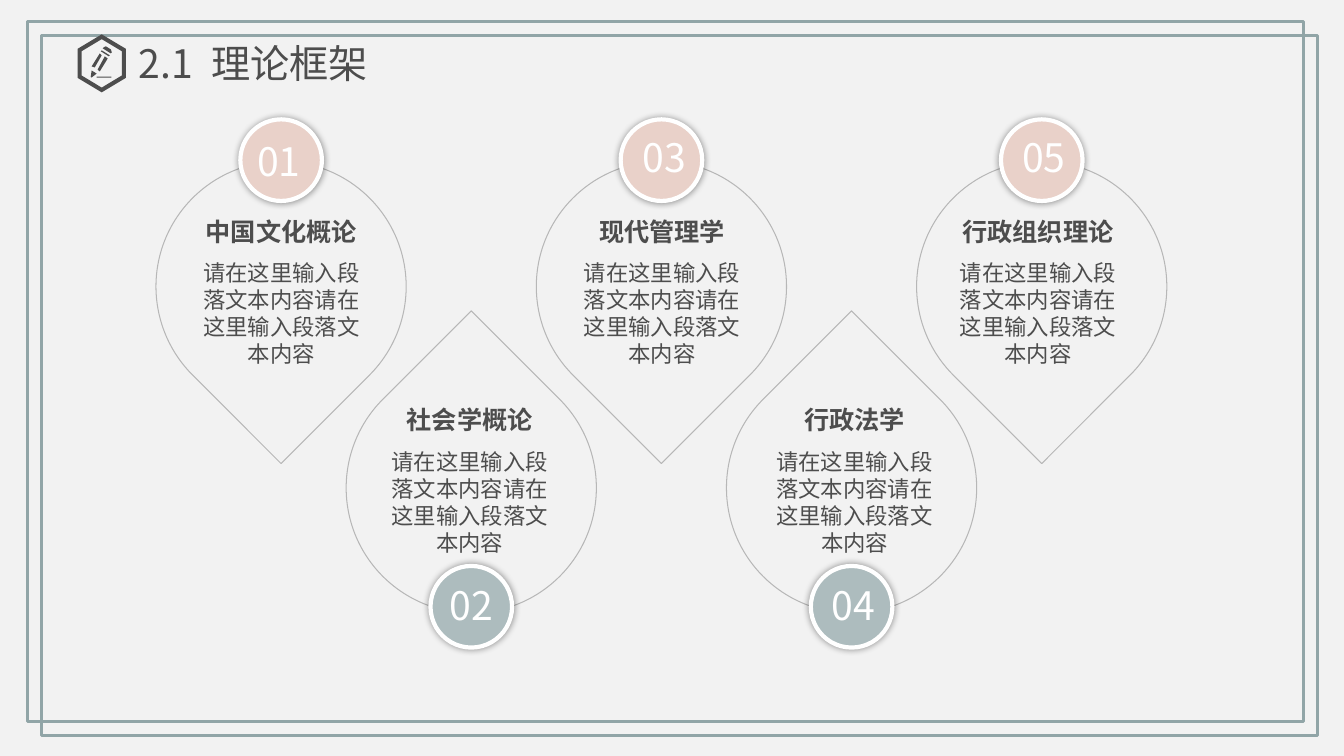
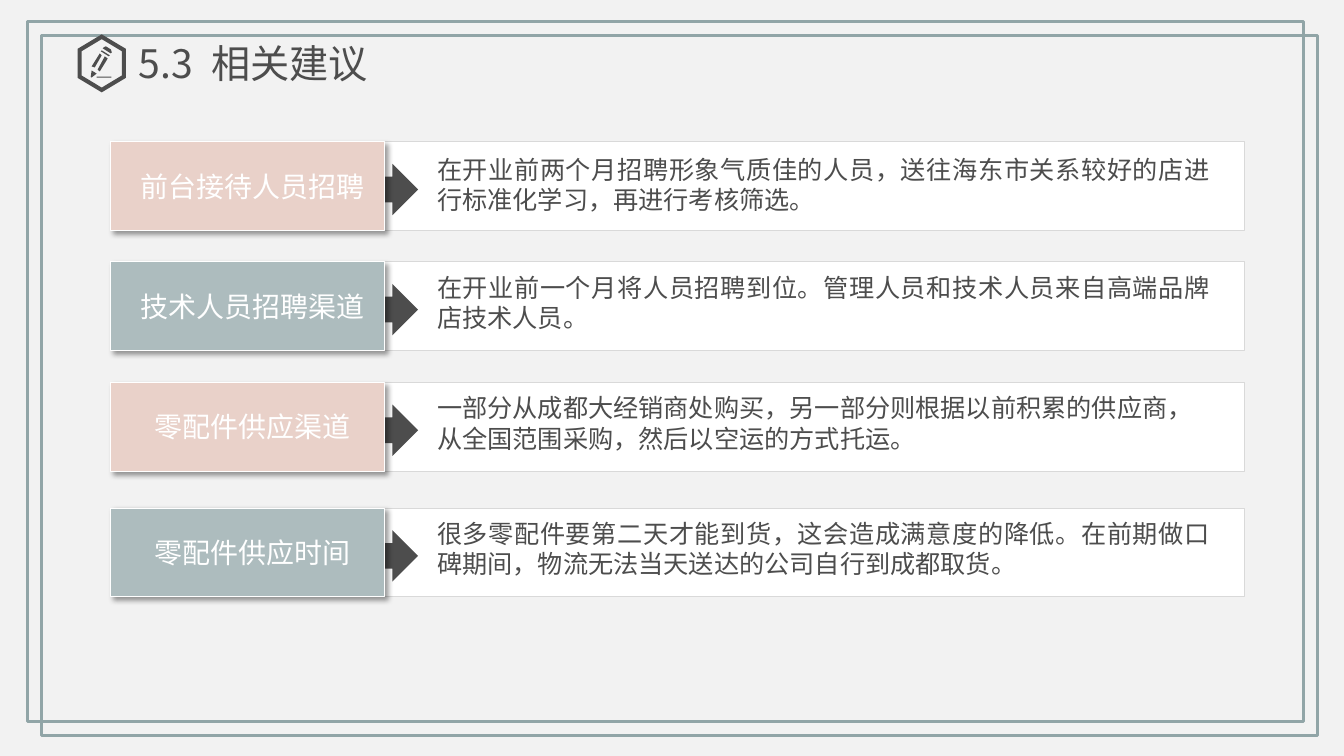
"""Build two slides: a theory framework of five drops and a list of four recommendations."""
import math

from lxml import etree
from pptx import Presentation
from pptx.dml.color import RGBColor
from pptx.enum import shapes, text
from pptx.oxml import ns
from pptx.util import Pt

FONT = "Noto Sans CJK SC"
DARK, WHITE, PAPER = "4D4D4D", "FFFFFF", "F2F2F2"
PINK, TEAL, FRAME = "E9D1C9", "ADBCBE", "91A5A7"
LEFT, CENTER, JUSTIFY = text.PP_ALIGN.LEFT, text.PP_ALIGN.CENTER, text.PP_ALIGN.JUSTIFY
color = RGBColor.from_string


def paint(shape, fill=None, line=None, width=0.75, shadow=None):
    """Set fill, outline and an optional (blur, distance, degrees) shadow."""
    if fill:
        shape.fill.solid()
        shape.fill.fore_color.rgb = color(fill)
    else:
        shape.fill.background()
    if line:
        shape.line.color.rgb = color(line)
        shape.line.width = Pt(width)
    else:
        shape.line.fill.background()
    shape.shadow.inherit = False
    if shadow:
        blur, distance, degrees = shadow
        effects = shape.element.spPr.find(ns.qn("a:effectLst"))
        outer = etree.SubElement(effects, ns.qn("a:outerShdw"), blurRad=str(Pt(blur)),
                                 dist=str(Pt(distance)), dir=str(degrees * 60000),
                                 algn="ctr", rotWithShape="0")
        black = etree.SubElement(outer, ns.qn("a:srgbClr"), val="000000")
        etree.SubElement(black, ns.qn("a:alpha"), val="40000")


def write(shape, content, size, ink=DARK, align=LEFT, bold=False, inset=3.6, wrap=True):
    """Fill a shape with one formatted paragraph."""
    frame = shape.text_frame
    frame.word_wrap = wrap
    frame.auto_size = text.MSO_AUTO_SIZE.NONE
    frame.vertical_anchor = text.MSO_ANCHOR.TOP
    frame.margin_left = frame.margin_right = Pt(inset * 2)
    frame.margin_top = frame.margin_bottom = Pt(inset)
    paragraph = frame.paragraphs[0]
    paragraph.alignment = align
    paragraph.line_spacing = Pt(size * 1.21)
    run = paragraph.add_run()
    run.text = content
    run.font.size = Pt(size)
    run.font.bold = bold
    run.font.name = FONT
    run.font.color.rgb = color(ink)
    for latin in list(shape.element.iter(ns.qn("a:latin"))):
        east_asian = etree.Element(ns.qn("a:ea"), typeface=FONT)
        latin.addnext(east_asian)


presentation = Presentation()
presentation.slide_width, presentation.slide_height = Pt(960.48), Pt(540)
master = presentation.slide_master
master.background.fill.solid()
master.background.fill.fore_color.rgb = color(PAPER)
title_defaults = master.element.find(".//" + ns.qn("p:titleStyle")).find(
    ".//" + ns.qn("a:defRPr"))
tabs = etree.Element(ns.qn("a:tabLst"))
etree.SubElement(tabs, ns.qn("a:tab"), pos=str(Pt(52.2)), algn="l")
title_defaults.addprevious(tabs)

layout = presentation.slide_layouts[5]
layout_title = layout.placeholders[0]
layout_title.left, layout_title.top = Pt(99), Pt(28)
layout_title.width, layout_title.height = Pt(287.3), Pt(33.8)

theory, advice = [presentation.slides.add_slide(layout) for _ in range(2)]

for number, (left, top) in enumerate(((19.6, 15.1), (29.6, 25.2)), 20):
    border = theory.shapes.add_shape(shapes.MSO_SHAPE.RECTANGLE, Pt(left), Pt(top),
                                     Pt(912.2), Pt(500.4))
    paint(border, line=FRAME, width=2)
    border.element.nvSpPr.cNvPr.set("id", str(number))
    layout.shapes.element.append(border.element)

icon_contours = [
    [(72.7 + x * half_width, 45.3 + y * half_height)
     for x, y in ((0, -1), (1, -0.5), (1, 0.5), (0, 1), (-1, 0.5), (-1, -0.5))]
    for half_width, half_height in ((17.3, 20.7), (14.4, 17.3))
] + [
    [(69.1, 54.7), (79.6, 54.7), (79.6, 55.4), (69.1, 55.4)],
    [(69.8, 49.7), (74.9, 40.3), (77, 41.8), (71.3, 51.1)],
    [(65.5, 47.5), (71.3, 38.2), (72.7, 39.6), (67.7, 48.2)],
    [(64.8, 55.1), (65.5, 50.4), (69.1, 52.6), (65.5, 55.4)],
    [(72.7, 36), (72, 36.7), (77.8, 40.3), (78.5, 39.6)],
    [(74.2, 33.8), (75.6, 33.1), (79.2, 35.3), (79.9, 37.4), (79.2, 38.2), (73.4, 34.6)],
]
for slide, heading in ((theory, "2.1\t理论框架"), (advice, "5.3\t相关建议")):
    write(slide.shapes.title, heading, 28, inset=0)
    builder = slide.shapes.build_freeform()
    for contour in icon_contours:
        points = [(Pt(x), Pt(y)) for x, y in contour]
        builder.move_to(*points[0])
        builder.add_line_segments(points[1:], close=True)
    paint(builder.convert_to_shape(), DARK)

RADIUS, BADGE = 89.4, 58.3
BODY = "请在这里输入段落文本内容请在这里输入段落文本内容"

half = math.sqrt(0.5)
drop_points = [(-half, half)]
for start, end in ((-225, -180), (-180, -90), (-90, 0), (0, 45)):
    first, last = math.radians(start), math.radians(end)
    reach = 4 / 3 * math.tan((last - first) / 4)
    drop_points += [
        (math.cos(first) - reach * math.sin(first), math.sin(first) + reach * math.cos(first)),
        (math.cos(last) + reach * math.sin(last), math.sin(last) - reach * math.cos(last)),
        (math.cos(last), math.sin(last)),
    ]
drop_points.append((0, math.sqrt(2)))

topics = [
    ("01", "中国文化概论", 201.1, 176.8, 94.3),
    ("02", "社会学概论", 335.7, 314.2, 411.6),
    ("03", "现代管理学", 473.2, 452.2, 91.4),
    ("04", "行政法学", 610.7, 587.5, 411.1),
    ("05", "行政组织理论", 741.8, 723.4, 91.4),
]
for index, (number, heading, text_center, number_left, number_top) in enumerate(topics):
    center_x = 200.9 + 135.9 * index
    if index % 2 == 0:
        center_y, badge_y, heading_top, direction, fill = 204.7, 114.4, 150.5, 1, PINK
    else:
        center_y, badge_y, heading_top, direction, fill = 348.5, 433.4, 285.1, -1, TEAL
    points = [(Pt(center_x + RADIUS * x), Pt(center_y + direction * RADIUS * y))
              for x, y in drop_points]
    builder = theory.shapes.build_freeform(*points[0])
    builder.add_line_segments(points[1:], close=True)
    drop = builder.convert_to_shape()
    lines = list(drop.element.iter(ns.qn("a:lnTo")))
    for first in range(0, 12, 3):
        curve = etree.Element(ns.qn("a:cubicBezTo"))
        lines[first].addprevious(curve)
        for line in lines[first:first + 3]:
            curve.append(line[0])
            line.getparent().remove(line)
    paint(drop, PAPER, "B7B7B7")

    badge = theory.shapes.add_shape(shapes.MSO_SHAPE.OVAL, Pt(center_x - BADGE / 2),
                                    Pt(badge_y - BADGE / 2), Pt(BADGE), Pt(BADGE))
    paint(badge, fill, WHITE, 3, (5, 0, 0))

    text_left = Pt(text_center - 68.4)
    box = theory.shapes.add_textbox(text_left, Pt(heading_top), Pt(136.8), Pt(28.8))
    write(box, heading, 18, align=CENTER, bold=True)
    box = theory.shapes.add_textbox(text_left, Pt(heading_top + 31), Pt(136.8), Pt(85))
    write(box, BODY, 16, align=CENTER)
    box = theory.shapes.add_textbox(Pt(number_left), Pt(number_top), Pt(48.2), Pt(41))
    write(box, number, 28, WHITE, wrap=False)

recommendations = [
    (101.2, 5, PINK, "前台接待人员招聘", JUSTIFY,
     "在开业前两个月招聘形象气质佳的人员，送往海东市关系较好的店进行标准化学习，再进行考核筛选。"),
    (187, 3.6, TEAL, "技术人员招聘渠道", JUSTIFY,
     "在开业前一个月将人员招聘到位。管理人员和技术人员来自高端品牌店技术人员。"),
    (273.2, 3.6, PINK, "零配件供应渠道", LEFT,
     "一部分从成都大经销商处购买，另一部分则根据以前积累的供应商，从全国范围采购，然后以空运的方式托运。"),
    (362.9, 3.6, TEAL, "零配件供应时间", JUSTIFY,
     "很多零配件要第二天才能到货，这会造成满意度的降低。在前期做口碑期间，物流无法当天送达的公司自行到成都取货。"),
]
for top, detail_offset, fill, label, align, detail in recommendations:
    panel = advice.shapes.add_shape(shapes.MSO_SHAPE.RECTANGLE, Pt(270.7), Pt(top),
                                    Pt(618.5), Pt(63.4))
    paint(panel, WHITE, "D9D9D9")
    arrow = advice.shapes.add_shape(shapes.MSO_SHAPE.RIGHT_ARROW, Pt(253.4), Pt(top + 15.8),
                                    Pt(45.4), Pt(36.7))
    paint(arrow, DARK)
    card = advice.shapes.add_shape(shapes.MSO_SHAPE.RECTANGLE, Pt(79.2), Pt(top),
                                   Pt(195.5), Pt(63.4))
    paint(card, fill, WHITE, shadow=(4, 3, 45))
    box = advice.shapes.add_textbox(Pt(87.8), Pt(top + 15.8), Pt(185.8), Pt(31.7))
    write(box, label, 20, WHITE, CENTER)
    box = advice.shapes.add_textbox(Pt(305.3), Pt(top + detail_offset), Pt(566.6), Pt(51.1))
    write(box, detail, 18, align=align)

presentation.save("out.pptx")
